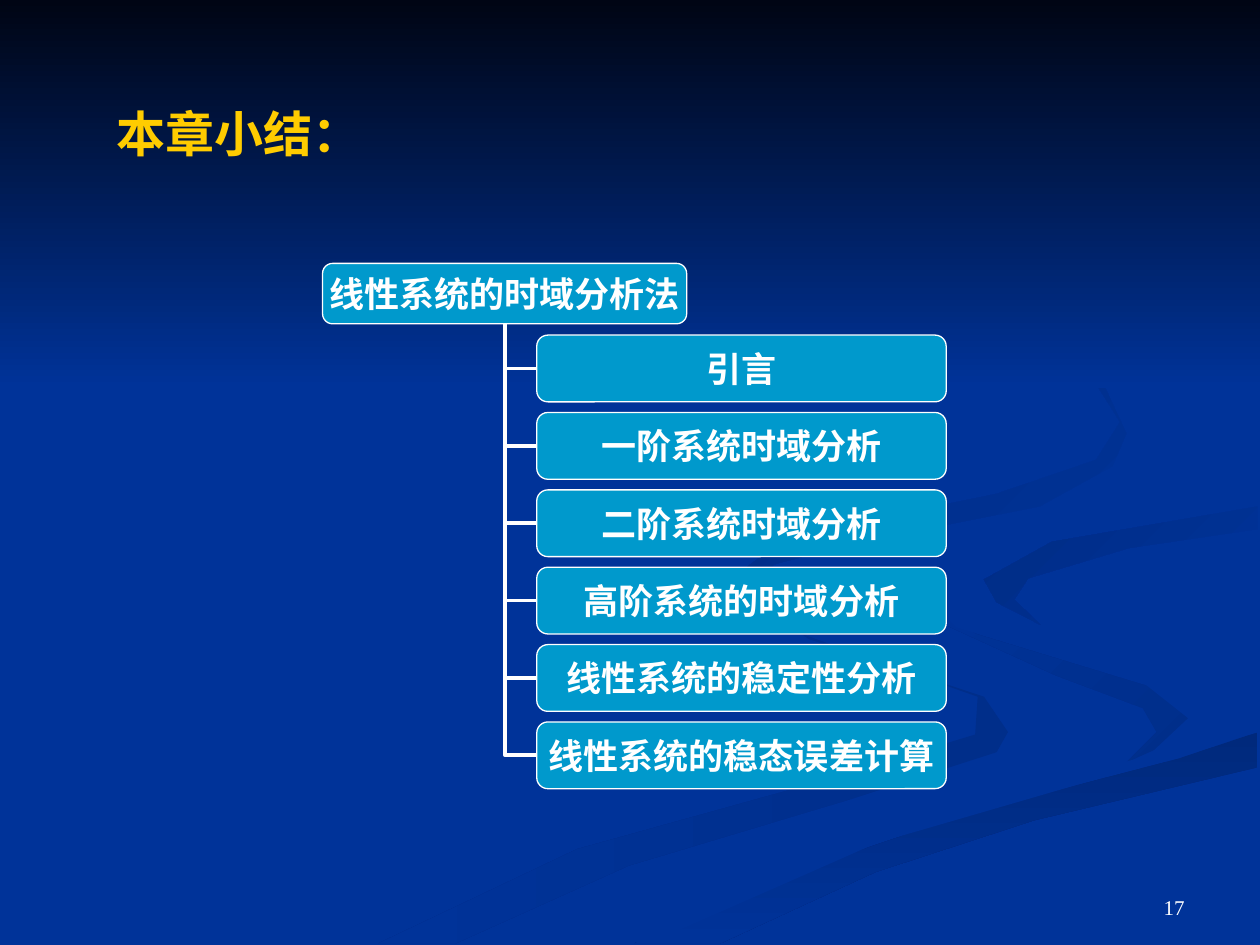
from lxml import etree
from pptx import Presentation
from pptx.dml.color import RGBColor
from pptx.enum.shapes import MSO_CONNECTOR, MSO_SHAPE
from pptx.enum.text import MSO_ANCHOR, PP_ALIGN
from pptx.oxml.ns import qn
from pptx.util import Inches, Pt

ROUND = MSO_SHAPE.ROUNDED_RECTANGLE
ELBOW = MSO_CONNECTOR.ELBOW
TOP, MIDDLE, BOTTOM = MSO_ANCHOR.TOP, MSO_ANCHOR.MIDDLE, MSO_ANCHOR.BOTTOM
LEFT, CENTER, RIGHT = PP_ALIGN.LEFT, PP_ALIGN.CENTER, PP_ALIGN.RIGHT

HEX = {"base": "003399", "night": "000514", "box": "0099CC", "white": "FFFFFF",
       "gold": "FFCC00", "dusk": "002E8A", "deep": "00297C", "dim": "002C85",
       "dark": "002B81"}
RGB = {name: RGBColor.from_string(code) for name, code in HEX.items()}

HEAD = {"name": "Arial", "size": Pt(28), "bold": True}
NODE = {"name": "Arial", "size": Pt(20), "bold": True}
PAGE = {"name": "Times New Roman", "size": Pt(12), "bold": False}

# Ribbons of the backdrop: first colour, last colour, clockwise angle,
# outline in hundredths of an inch
RIBBONS = [
    ("dusk", "base", 180, [
        (575, 459), (581, 483), (679, 519), (776, 553), (774, 583),
        (652, 620), (458, 674), (300, 749), (361, 749), (499, 687),
        (676, 634), (791, 597), (800, 581), (781, 553), (642, 507)]),
    ("dusk", "base", 225, [
        (724, 464), (733, 488), (838, 536), (907, 562), (918, 581),
        (894, 605), (937, 586), (943, 570), (919, 547), (774, 503)]),
    ("deep", "base", 90, [
        (503, 749), (571, 749), (695, 692), (821, 651), (998, 609),
        (998, 581), (936, 602), (764, 647), (630, 693)]),
    ("base", "base", 0, [
        (725, 464), (759, 498), (905, 540), (943, 570), (911, 600),
        (743, 643), (573, 703), (477, 749), (519, 747), (696, 669),
        (999, 581), (999, 538), (817, 492), (782, 460), (835, 430),
        (999, 402), (999, 387), (770, 427)]),
    ("base", "dim", 225, [
        (781, 460), (791, 478), (826, 496), (805, 476), (816, 459),
        (896, 435), (998, 420), (998, 402), (835, 430)]),
    ("base", "dark", 225, [
        (683, 430), (825, 402), (883, 370), (894, 344), (873, 299),
        (762, 233), (862, 292), (889, 335), (870, 365), (791, 392),
        (625, 426), (577, 462), (622, 500), (593, 470), (614, 448)]),
    ("night", "base", 90, [(0, 0), (0, 308), (1000, 308), (1000, 0)]),
]

TOPICS = ["引言", "一阶系统时域分析", "二阶系统时域分析", "高阶系统的时域分析",
          "线性系统的稳定性分析", "线性系统的稳态误差计算"]


def write(shape, text, style, color, align, anchor, wrap):
    frame = shape.text_frame
    frame.word_wrap = wrap
    frame.vertical_anchor = anchor
    para = frame.paragraphs[0]
    para.alignment = align
    run = para.add_run()
    run.text = text
    for key, value in style.items():
        setattr(run.font, key, value)
    run.font.color.rgb = RGB[color]


def add_node(text, left, top, width, height):
    node = slide.shapes.add_shape(
        ROUND, Inches(left), Inches(top), Inches(width), Inches(height))
    node.shadow.inherit = False
    node.fill.solid()
    node.fill.fore_color.rgb = RGB["box"]
    node.line.color.rgb = RGB["white"]
    node.line.width = Pt(0.75)
    frame = node.text_frame
    for side in ("left", "right", "top", "bottom"):
        setattr(frame, "margin_" + side, Inches(0.03))
    write(node, text, NODE, "white", CENTER, MIDDLE, False)


deck = Presentation()
deck.slide_width, deck.slide_height = Inches(10), Inches(7.5)
slide = deck.slides.add_slide(deck.slide_layouts[6])

# Backdrop
slide.background.fill.solid()
slide.background.fill.fore_color.rgb = RGB["base"]
for first, last, angle, points in RIBBONS:
    pen = slide.shapes.build_freeform(*points[0], scale=Inches(0.01))
    pen.add_line_segments(points[1:], close=True)
    band = pen.convert_to_shape()
    band.shadow.inherit = False
    band.line.fill.background()
    if first == last:
        band.fill.solid()
        band.fill.fore_color.rgb = RGB[first]
    else:
        band.fill.gradient()
        band.fill.gradient_angle = (360 - angle) % 360
        for stop, name, place in zip(band.fill.gradient_stops, (first, last), (0, 1)):
            stop.color.rgb = RGB[name]
            stop.position = place

# Tree: branches run from each topic to the foot of the root
left, top, width, height = 4.26, 2.66, 3.25, 0.53
step = (5.73 - top) / (len(TOPICS) - 1)
tops = [top + i * step for i in range(len(TOPICS))]
for y in reversed(tops):
    link = slide.shapes.add_connector(
        ELBOW, Inches(left), Inches(y + height / 2), Inches(4.01), Inches(2.57))
    link.line.color.rgb = RGB["white"]
    link.line.width = Pt(2.25)
    props = link._element.spPr
    props.find(qn("a:prstGeom")).set("prst", "bentConnector2")
    etree.SubElement(props, qn("a:effectLst"))

add_node("线性系统的时域分析法", 2.56, 2.09, 2.89, 0.48)
for topic, y in zip(TOPICS, tops):
    add_node(topic, left, y, width, height)

# Title and page number
title = slide.shapes.add_textbox(Inches(0.83), Inches(0.77), Inches(2.67), Inches(0.57))
write(title, "本章小结：", HEAD, "gold", LEFT, TOP, True)
page = slide.shapes.add_textbox(Inches(7.17), Inches(6.83), Inches(2.33), Inches(0.52))
write(page, "17", PAGE, "white", RIGHT, BOTTOM, True)

deck.save("out.pptx")
